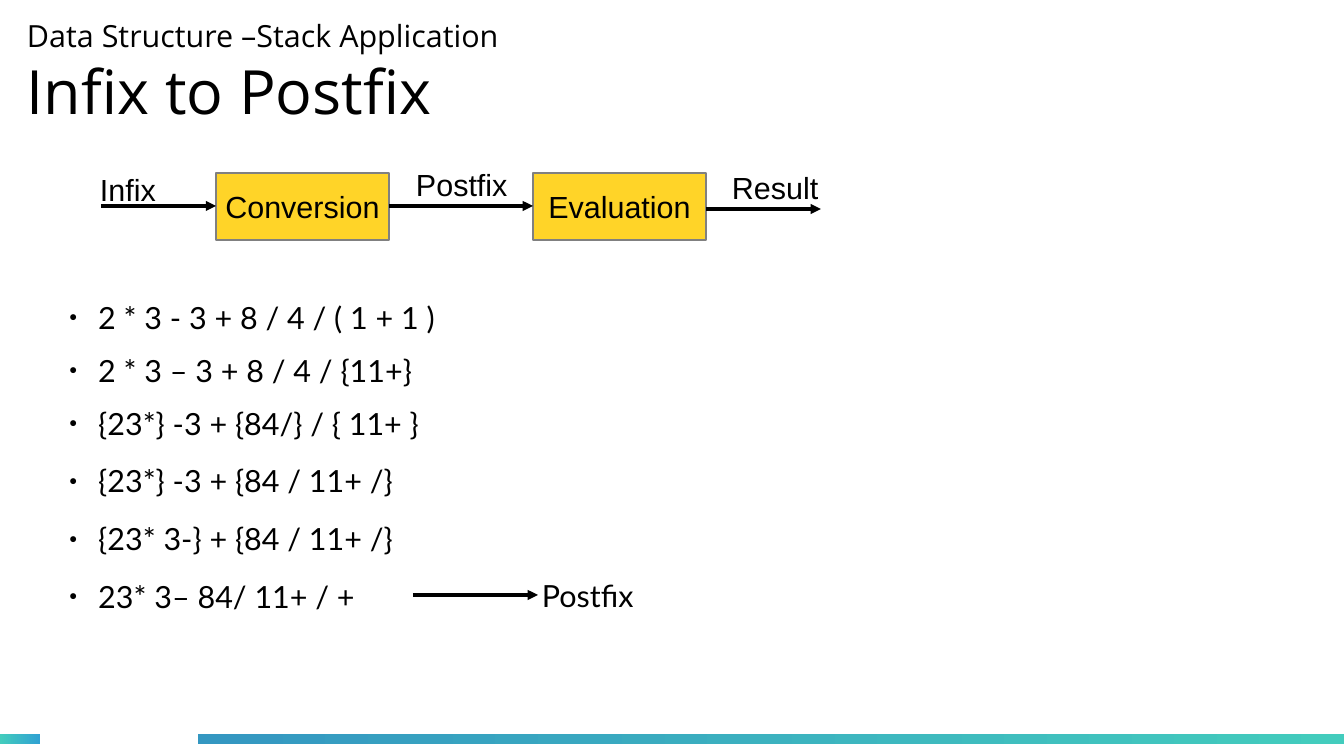
from lxml.etree import SubElement
from pptx import Presentation
from pptx.dml.color import RGBColor
from pptx.enum.shapes import MSO_CONNECTOR as Connector, MSO_SHAPE as Shape
from pptx.enum.text import MSO_ANCHOR as Anchor, MSO_AUTO_SIZE as AutoSize, PP_ALIGN as Align
from pptx.oxml.ns import qn
from pptx.util import Emu, Pt

EMU_PER_PX = 914400 / 122
COLORS = {
    "ink": "000000",
    "box": "FFD428",
    "outline": "808080",
    "teal": "43CCBD",
    "sky": "30A2D2",
    "blue": "3497C1",
}
STEPS = [
    ("2 * 3 - 3 + 8 / 4 / ( 1 + 1 )", 0),
    ("2 * 3 – 3 + 8 / 4 / {11+}", 9.3),
    ("{23*} -3 + {84/} / { 11+ }", 9.3),
    ("{23*} -3 + {84 / 11+ /}", 12),
    ("{23* 3-} + {84 / 11+ /}", 12),
    ("23* 3– 84/ 11+ / +", 12),
]
STEP_LINE = Pt(22)


def px(length):
    return Emu(round(length * EMU_PER_PX))


def color(name):
    return RGBColor.from_string(COLORS[name])


def place(shape, left, top, width, height):
    shape.left, shape.top = px(left), px(top)
    shape.width, shape.height = px(width), px(height)


def add_run(paragraph, text, font, size=18):
    run = paragraph.add_run()
    run.text = text
    run.font.name = font
    run.font.size = Pt(size)
    run.font.color.rgb = color("ink")


def add_bullet(paragraph):
    properties = paragraph._p.get_or_add_pPr()
    properties.set("marL", str(px(29)))
    properties.set("indent", str(px(-29)))
    bullet_color = SubElement(properties, qn("a:buClr"))
    SubElement(bullet_color, qn("a:srgbClr"), val=COLORS["ink"])
    SubElement(properties, qn("a:buSzPct"), val="45000")
    SubElement(properties, qn("a:buFont"), typeface="Arial")
    SubElement(properties, qn("a:buChar"), char="●")


def add_footer_bar(slide, left, width, start, end):
    bar = slide.shapes.add_shape(Shape.RECTANGLE, px(left), px(734), px(width), px(10))
    bar.shadow.inherit = False
    bar.line.fill.background()
    bar.fill.gradient()
    bar.fill.gradient_angle = 0
    for stop, name in zip(bar.fill.gradient_stops, (start, end)):
        stop.color.rgb = color(name)


def add_stage(slide, left, name):
    stage = slide.shapes.add_shape(Shape.RECTANGLE, px(left), px(173), px(173), px(67))
    stage.shadow.inherit = False
    stage.fill.solid()
    stage.fill.fore_color.rgb = color("box")
    stage.line.color.rgb = color("outline")
    stage.line.width = Pt(0)
    frame = stage.text_frame
    frame.word_wrap = False
    frame.vertical_anchor = Anchor.MIDDLE
    frame.paragraphs[0].alignment = Align.CENTER
    add_run(frame.paragraphs[0], name, "Arial")


def add_arrow(slide, start, end, y):
    arrow = slide.shapes.add_connector(Connector.STRAIGHT, px(start), px(y), px(end), px(y))
    arrow.line.color.rgb = color("ink")
    arrow.line.width = Pt(0)
    SubElement(arrow.line._get_or_add_ln(), qn("a:tailEnd"), type="triangle")
    SubElement(arrow._element.spPr, qn("a:effectLst"))


def add_label(slide, left, top, width, text, font="Arial"):
    label = slide.shapes.add_textbox(px(left), px(top), px(width), px(46))
    frame = label.text_frame
    frame.word_wrap = False
    add_run(frame.paragraphs[0], text, font)
    return frame.paragraphs[0]


def fill_title(title):
    place(title, 27, 10, 1222, 124)
    frame = title.text_frame
    frame.margin_left = frame.margin_right = frame.margin_top = frame.margin_bottom = 0
    frame.auto_size = AutoSize.NONE
    frame.vertical_anchor = Anchor.MIDDLE
    topic, heading = frame.paragraphs[0], frame.add_paragraph()
    for line, text, size in (
        (topic, "Data Structure –Stack Application", 18),
        (heading, "Infix to Postfix", 36),
    ):
        line.alignment = Align.LEFT
        add_run(line, text, "Open Sans", size)


def fill_steps(body):
    place(body, 57, 292, 480, 340)
    frame = body.text_frame
    frame.auto_size = AutoSize.NONE
    for index, (expression, gap) in enumerate(STEPS):
        step = frame.add_paragraph() if index else frame.paragraphs[0]
        step.line_spacing = STEP_LINE
        step.space_before = Pt(gap)
        add_bullet(step)
        add_run(step, expression, "Lato")


def main():
    deck = Presentation()
    deck.slide_width, deck.slide_height = px(1344), px(756)
    slide = deck.slides.add_slide(deck.slide_layouts[1])

    add_footer_bar(slide, 0, 40, "teal", "sky")
    add_footer_bar(slide, 198, 1146, "blue", "teal")
    fill_title(slide.shapes.title)
    fill_steps(slide.placeholders[1])

    add_stage(slide, 216, "Conversion")
    add_stage(slide, 533, "Evaluation")
    for start, end, y in ((101, 216, 206), (389, 533, 206), (706, 821, 209), (413, 538, 595)):
        add_arrow(slide, start, end, y)
    for left, top, width, text in (
        (88, 165, 80, "Infix"),
        (404, 160, 116, "Postfix"),
        (720, 163, 111, "Result"),
    ):
        add_label(slide, left, top, width, text)
    outcome = add_label(slide, 530, 570, 116, "Postfix", "Lato")
    outcome.line_spacing = STEP_LINE

    deck.save("out.pptx")


if __name__ == "__main__":
    main()
